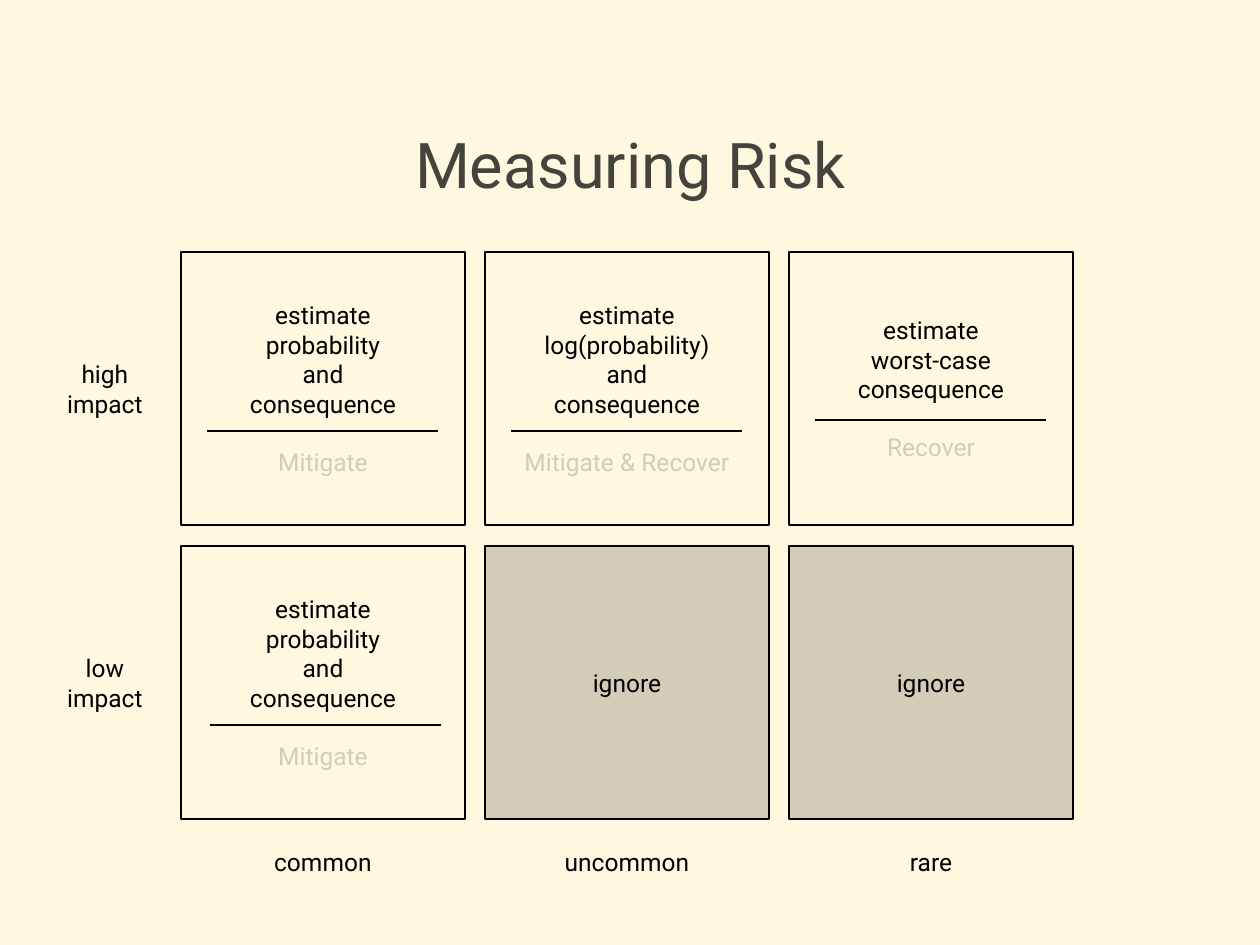
from lxml import etree
from pptx import Presentation
from pptx import util as u
from pptx.dml.color import RGBColor
from pptx.enum import shapes, text
from pptx.oxml import ns

PX = 914400 / 126
FONT = "Roboto"
BLACK, TITLE, MUTED, CREAM = "000000", "45433D", "D2CCB9", "FFF8E0"

GRID_LEFT, GRID_TOP = 181, 252
CELL_WIDTH, CELL_HEIGHT = 284, 273
COLUMN_STEP, ROW_STEP = 304, 294
RULE_WIDTH = 231
LABEL_SIZE = 14

PROBABILITY = ["estimate", "probability", "and", "consequence"]
LOG_PROBABILITY = ["estimate", "log(probability)", "and", "consequence"]
WORST_CASE = ["estimate", "worst-case", "consequence"]

# Lines, response and the rule's offset in the cell
CELLS = [
    [(PROBABILITY, "Mitigate", (26, 179)),
     (LOG_PROBABILITY, "Mitigate & Recover", (26, 179)),
     (WORST_CASE, "Recover", (26, 168))],
    [(PROBABILITY, "Mitigate", (29, 179)),
     (["ignore"], None, None),
     (["ignore"], None, None)],
]
COLUMN_LABELS = [("common", 127), ("uncommon", 157), ("rare", 73)]
ROW_LABELS = [["high", "impact"], ["low", "impact"]]


def px(*lengths):
    return [u.Emu(round(length * PX)) for length in lengths]


def color(value):
    return RGBColor.from_string(value)


def format_paragraph(paragraph, size, font_color):
    paragraph.alignment = text.PP_ALIGN.CENTER
    paragraph.font.name = FONT
    paragraph.font.size = u.Pt(size)
    paragraph.font.color.rgb = color(font_color)


def write_lines(shape, lines):
    frame = shape.text_frame
    frame.word_wrap = False
    frame.vertical_anchor = text.MSO_ANCHOR.MIDDLE
    frame.text = "\n".join(lines)
    for paragraph in frame.paragraphs:
        format_paragraph(paragraph, LABEL_SIZE, BLACK)


def add_title(slide, box, wording):
    title = slide.shapes.title
    title.left, title.top, title.width, title.height = px(*box)
    frame = title.text_frame
    frame.text = wording
    frame.auto_size = text.MSO_AUTO_SIZE.NONE
    frame.vertical_anchor = text.MSO_ANCHOR.MIDDLE
    format_paragraph(frame.paragraphs[0], 36, TITLE)


def add_rule(slide, left, top):
    rule = slide.shapes.add_connector(
        shapes.MSO_CONNECTOR.STRAIGHT, *px(left, top, left + RULE_WIDTH, top))
    rule.line.color.rgb = color(BLACK)
    rule.line.width = u.Pt(0.75)
    etree.SubElement(rule.line._get_or_add_ln().getparent(), ns.qn("a:effectLst"))


def add_cell(slide, box, lines, response, rule_offset):
    cell = slide.shapes.add_shape(shapes.MSO_SHAPE.RECTANGLE, *px(*box))
    cell.shadow.inherit = False
    cell.line.color.rgb = color(BLACK)
    cell.line.width = u.Pt(0.75)
    write_lines(cell, lines)
    if response is None:
        cell.fill.solid()
        cell.fill.fore_color.rgb = color(MUTED)
        return
    cell.fill.background()
    paragraph = cell.text_frame.add_paragraph()
    paragraph.text = response
    format_paragraph(paragraph, LABEL_SIZE, MUTED)
    paragraph.space_before = px(29)[0]
    add_rule(slide, box[0] + rule_offset[0], box[1] + rule_offset[1])


def add_label(slide, center_x, center_y, width, height, lines):
    label = slide.shapes.add_textbox(
        *px(center_x - width / 2, center_y - height / 2, width, height))
    write_lines(label, lines)


def add_risk_grid(slide, left, top):
    for row, cells in enumerate(CELLS):
        cell_top = top + row * ROW_STEP
        for column, content in enumerate(cells):
            box = (left + column * COLUMN_STEP, cell_top, CELL_WIDTH, CELL_HEIGHT)
            add_cell(slide, box, *content)
        add_label(slide, left - 76, cell_top + CELL_HEIGHT / 2, 103, 72,
                  ROW_LABELS[row])
    for column, (wording, width) in enumerate(COLUMN_LABELS):
        center_x = left + column * COLUMN_STEP + CELL_WIDTH / 2
        add_label(slide, center_x, top + 610, width, 43, [wording])


def main():
    presentation = Presentation()
    presentation.slide_width, presentation.slide_height = px(1260, 945)
    slide = presentation.slides.add_slide(presentation.slide_layouts[5])
    slide.background.fill.solid()
    slide.background.fill.fore_color.rgb = color(CREAM)
    add_title(slide, (95, 84, 1071, 158), "Measuring Risk")
    add_risk_grid(slide, GRID_LEFT, GRID_TOP)
    presentation.save("out.pptx")


if __name__ == "__main__":
    main()
